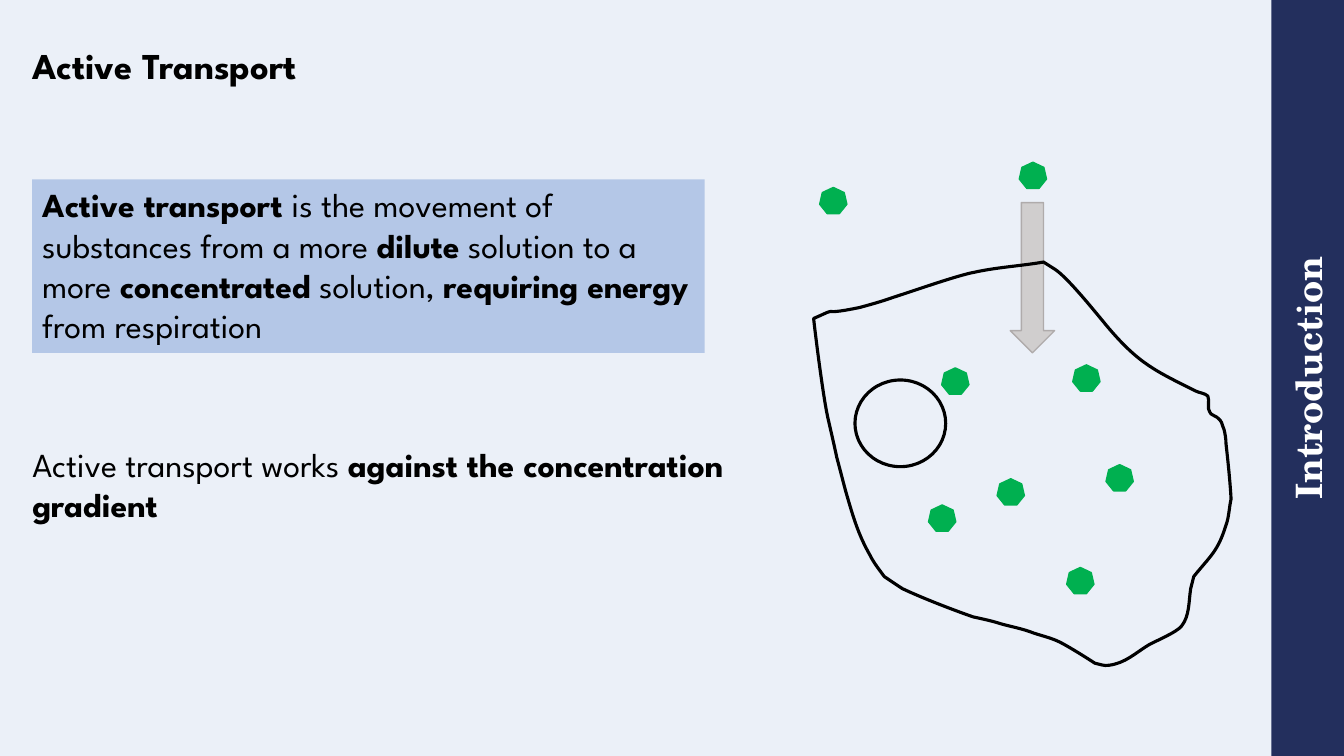
import pptx
import pptx.dml.color
import pptx.enum.shapes
import pptx.enum.text
import pptx.oxml.ns
import pptx.util
from lxml import etree

COLORS = {
    "background": "FFC000",
    "page": "FFFFFF",
    "tint": "4472C4",
    "sidebar": "232F5D",
    "panel": "B4C7E7",
    "text": "000000",
    "sidebar_text": "FFFFFF",
    "molecule": "00B050",
    "arrow": "D0CECE",
    "arrow_edge": "AFABAB",
}
BODY_FONT = "League Spartan"
SIDEBAR_FONT = "TeX Gyre Schola"
COLUMNS, ROWS = 1333, 750  # slide grid, one cell is 0.01 inch square
CELL = pptx.util.Inches(0.01)
SHAPES = pptx.enum.shapes.MSO_SHAPE
ALIGN = pptx.enum.text.PP_ALIGN
ANCHOR = pptx.enum.text.MSO_ANCHOR
qn = pptx.oxml.ns.qn

# Diagram grid: the membrane's start, then two control points and an end per curve
MEMBRANE_START = (391, 233)
MEMBRANE_CURVES = [
    (388, 230, 383, 230, 379, 228), (339, 208, 323, 201, 293, 166),
    (282, 153, 252, 115, 239, 107), (239, 107, 228, 100, 228, 100),
    (205, 104, 183, 105, 160, 110), (143, 113, 95, 130, 79, 135),
    (68, 139, 57, 142, 46, 145), (-2, 155, 32, 142, 0, 156),
    (1, 166, 9, 231, 14, 254), (17, 267, 20, 280, 23, 294),
    (26, 305, 29, 317, 32, 328), (39, 352, 44, 370, 56, 391),
    (60, 399, 65, 405, 70, 412), (76, 416, 82, 420, 88, 424),
    (107, 433, 138, 445, 158, 452), (167, 454, 177, 456, 186, 459),
    (197, 462, 208, 464, 218, 468), (227, 471, 236, 473, 244, 477),
    (256, 483, 279, 498, 279, 498), (284, 499, 288, 501, 293, 500),
    (309, 498, 319, 488, 332, 480), (337, 477, 361, 467, 365, 461),
    (373, 451, 372, 436, 374, 424), (375, 420, 376, 416, 377, 412),
    (394, 391, 401, 387, 409, 361), (412, 353, 412, 344, 414, 335),
    (413, 317, 411, 298, 409, 280), (409, 275, 408, 270, 407, 266),
    (404, 259, 406, 259, 400, 254), (398, 252, 394, 252, 393, 249),
    (390, 246, 393, 237, 391, 233),
]
MOLECULES = [(204, 1), (6, 26), (251, 403), (290, 301),
             (182, 315), (127, 205), (257, 202), (114, 341)]


def rgb(name):
    return pptx.dml.color.RGBColor.from_string(COLORS[name])


def style(shape, fill=None, line=None, weight=1):
    shape.shadow.inherit = False
    if fill:
        shape.fill.solid()
        shape.fill.fore_color.rgb = rgb(fill)
    else:
        shape.fill.background()
    if line:
        shape.line.color.rgb = rgb(line)
        shape.line.width = pptx.util.Pt(weight)
    else:
        shape.line.fill.background()


def add_part(slide, preset, box, **look):
    part = slide.shapes.add_shape(preset, *(n * CELL for n in box))
    style(part, **look)
    return part


def write(shape, runs, size, font=BODY_FONT, color="text", anchor=ANCHOR.TOP,
          align=ALIGN.LEFT, spacing=None, insets=(0, 0, 0, 0)):
    """Fill a shape with one paragraph of (wording, bold) runs."""
    frame = shape.text_frame
    frame.word_wrap = True
    frame.vertical_anchor = anchor
    (frame.margin_left, frame.margin_top,
     frame.margin_right, frame.margin_bottom) = (n * CELL for n in insets)
    paragraph = frame.paragraphs[0]
    paragraph.alignment = align
    if spacing:
        paragraph.line_spacing = spacing
    for wording, bold in runs:
        run = paragraph.add_run()
        run.text = wording
        run.font.name = font
        run.font.size = pptx.util.Pt(size)
        run.font.bold = bold
        run.font.color.rgb = rgb(color)


def add_backdrop(slide, *box):
    """Lay a white page and a 10 % blue tint over the background."""
    slide.background.fill.solid()
    slide.background.fill.fore_color.rgb = rgb("background")
    add_part(slide, SHAPES.RECTANGLE, box, fill="page")
    tint = add_part(slide, SHAPES.RECTANGLE, box, fill="tint")
    tint_color = tint.fill._xPr.find(qn("a:solidFill"))[0]
    etree.SubElement(tint_color, qn("a:alpha"), val="10000")


def add_sidebar(slide, left, top, width, height):
    """Place a band turned to read upwards that covers the given box."""
    turned = (left + (width - height) / 2, top + (height - width) / 2)
    sidebar = add_part(slide, SHAPES.RECTANGLE,
                       [round(n) for n in (*turned, height, width)], fill="sidebar")
    sidebar.rotation = 270
    write(sidebar, [("Introduction", True)], 26, SIDEBAR_FONT, "sidebar_text",
          ANCHOR.MIDDLE, ALIGN.CENTER)


def add_title(slide, *box):
    title = slide.shapes.add_textbox(*(n * CELL for n in box))
    write(title, [("Active Transport", True)], 26, anchor=ANCHOR.BOTTOM, spacing=0.9)


def add_definition(slide, *box):
    definition = add_part(slide, SHAPES.RECTANGLE, box, fill="panel")
    write(definition, [
        ("Active transport ", True),
        ("is the movement of substances from a more ", False),
        ("dilute", True),
        (" solution to a more ", False),
        ("concentrated", True),
        (" solution, ", False),
        ("requiring energy", True),
        (" from respiration", False),
    ], 24, insets=(10, 5, 10, 5))


def add_gradient_note(slide, *box):
    note = slide.shapes.add_textbox(*(n * CELL for n in box))
    write(note, [("Active transport works ", False),
                 ("against the concentration gradient", True)], 24,
          insets=(0, 40, 0, 0))


def add_membrane(slide, left, top):
    def place(column, row):
        return (left + column) * CELL, (top + row) * CELL

    builder = slide.shapes.build_freeform(*place(*MEMBRANE_START), scale=1.0)
    builder.add_line_segments([place(*curve[4:]) for curve in MEMBRANE_CURVES],
                              close=True)
    membrane = builder.convert_to_shape()
    style(membrane, line="text", weight=2.25)
    bend_lines(membrane, [[place(*curve[i:i + 2]) for i in (0, 2, 4)]
                          for curve in MEMBRANE_CURVES])


def bend_lines(outline, curves):
    """Turn each straight segment of an outline into a Bezier curve."""
    segments = list(outline._element.iter(qn("a:lnTo")))
    for segment, points in zip(segments, curves):
        bend = etree.Element(qn("a:cubicBezTo"))
        for x, y in points:
            etree.SubElement(bend, qn("a:pt"), x=str(x - outline.left),
                             y=str(y - outline.top))
        segment.getparent().replace(segment, bend)


def add_cell_diagram(slide, left, top):
    add_part(slide, SHAPES.DOWN_ARROW, (left + 195, top + 41, 44, 149),
             fill="arrow", line="arrow_edge")
    add_membrane(slide, left, top)
    for column, row in MOLECULES:
        add_part(slide, SHAPES.HEPTAGON, (left + column, top + row, 27, 26),
                 fill="molecule", line="molecule")
    add_part(slide, SHAPES.OVAL, (left + 41, top + 217, 90, 86),
             line="text", weight=2.25)


def main():
    deck = pptx.Presentation()
    deck.slide_width, deck.slide_height = COLUMNS * CELL, ROWS * CELL
    slide = deck.slides.add_slide(deck.slide_layouts[6])
    margin, band = 32, 72
    add_backdrop(slide, 0, 0, COLUMNS, ROWS)
    add_sidebar(slide, COLUMNS - band, 0, band, ROWS)
    add_title(slide, margin, 8, 1161, 79)
    add_gradient_note(slide, margin, 400, 722, 202)
    add_definition(slide, margin, 178, 667, 172)
    add_cell_diagram(slide, 807, 160)
    deck.save("out.pptx")


if __name__ == "__main__":
    main()
